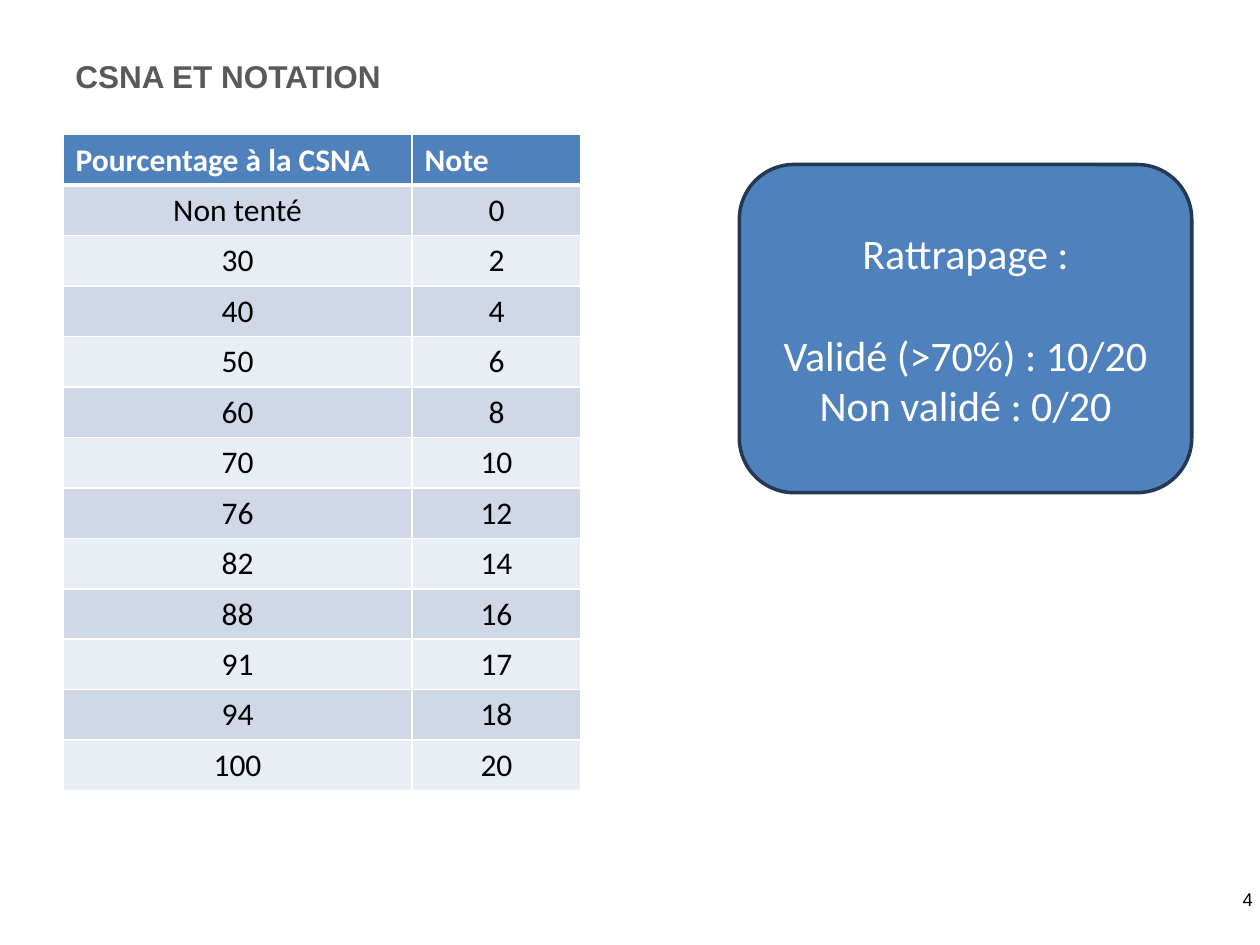
from lxml.etree import SubElement
from pptx import Presentation
from pptx.dml.color import RGBColor
from pptx.enum.shapes import MSO_SHAPE as Shape
from pptx.enum.text import MSO_ANCHOR as Anchor, PP_ALIGN as Align
from pptx.oxml.ns import qn
from pptx.util import Pt

WHITE = RGBColor(0xFF, 0xFF, 0xFF)
BLACK = RGBColor(0, 0, 0)
GREY = RGBColor(0x59, 0x59, 0x59)
BLUE = RGBColor(0x4F, 0x81, 0xBD)
NAVY = RGBColor(0x23, 0x39, 0x53)
BAND_DARK = RGBColor(0xD0, 0xD8, 0xE8)
BAND_LIGHT = RGBColor(0xE9, 0xED, 0xF4)

HEADINGS = ("Pourcentage à la CSNA", "Note")
GRADES = (("Non tenté", 0), (30, 2), (40, 4), (50, 6), (60, 8), (70, 10),
          (76, 12), (82, 14), (88, 16), (91, 17), (94, 18), (100, 20))
RETAKE = ("Rattrapage :", "Validé (>70%) : 10/20", "Non validé : 0/20")


def write(paragraph, text, size, font, color, align=Align.LEFT, bold=False):
    paragraph.alignment = align
    run = paragraph.add_run()
    run.text = str(text)
    run.font.size = Pt(size)
    run.font.name = font
    run.font.bold = bold
    run.font.color.rgb = color


def add_label(slide, box, *style, **options):
    frame = slide.shapes.add_textbox(*map(Pt, box)).text_frame
    frame.word_wrap = True
    frame.vertical_anchor = Anchor.MIDDLE
    write(frame.paragraphs[0], *style, **options)


def set_borders(cell, bottom):
    properties = cell._tc.get_or_add_tcPr()
    for side, width in (("L", 1), ("R", 1), ("T", 1), ("B", bottom)):
        line = SubElement(properties, qn(f"a:ln{side}"), w=str(Pt(width)))
        fill = SubElement(line, qn("a:solidFill"))
        SubElement(fill, qn("a:srgbClr"), val=str(WHITE))


def add_grades(slide, box, column_widths, row_height):
    lines = (HEADINGS, *GRADES)
    graphic = slide.shapes.add_table(len(lines), len(HEADINGS), *map(Pt, box))
    grades = graphic.table
    for column, width in zip(grades.columns, column_widths):
        column.width = Pt(width)
    for index, (row, values) in enumerate(zip(grades.rows, lines)):
        row.height = Pt(row_height)
        heading = index == 0
        band = BLUE if heading else BAND_DARK if index % 2 else BAND_LIGHT
        for cell, value in zip(row.cells, values):
            set_borders(cell, bottom=3 if heading else 1)
            cell.fill.solid()
            cell.fill.fore_color.rgb = band
            write(cell.text_frame.paragraphs[0], value, 18, "Calibri",
                  WHITE if heading else BLACK,
                  Align.LEFT if heading else Align.CENTER, heading)
    graphic.height = Pt(box[3])


def add_retake(slide, box):
    card = slide.shapes.add_shape(Shape.ROUNDED_RECTANGLE, *map(Pt, box))
    card.shadow.inherit = False
    card.fill.solid()
    card.fill.fore_color.rgb = BLUE
    card.line.color.rgb = NAVY
    card.line.width = Pt(2)
    frame = card.text_frame
    frame.word_wrap = True
    frame.vertical_anchor = Anchor.MIDDLE
    for index, text in enumerate(RETAKE):
        paragraph = frame.add_paragraph() if index else frame.paragraphs[0]
        write(paragraph, text, 24, "Calibri", WHITE, Align.CENTER)
    # One line of space below the heading
    frame.paragraphs[0].space_after = Pt(29.3)


def main():
    deck = Presentation()
    deck.slide_width, deck.slide_height = Pt(720), Pt(540)
    slide = deck.slides.add_slide(deck.slide_layouts[6])

    # Slide number
    add_label(slide, (649.5, 502.5, 73.5, 22.5), "4", 10.5, "Arial", BLACK,
              align=Align.RIGHT)
    # Grading scale
    add_grades(slide, (36, 77, 296, 374.4), (199.5, 96.5), 26.64)
    # Title
    add_label(slide, (36, 23, 648, 40.5), "CSNA ET NOTATION", 18, "Arial",
              GREY, bold=True)
    # Retake rules
    add_retake(slide, (422.5, 94, 258.5, 187.5))

    deck.save("out.pptx")


if __name__ == "__main__":
    main()
